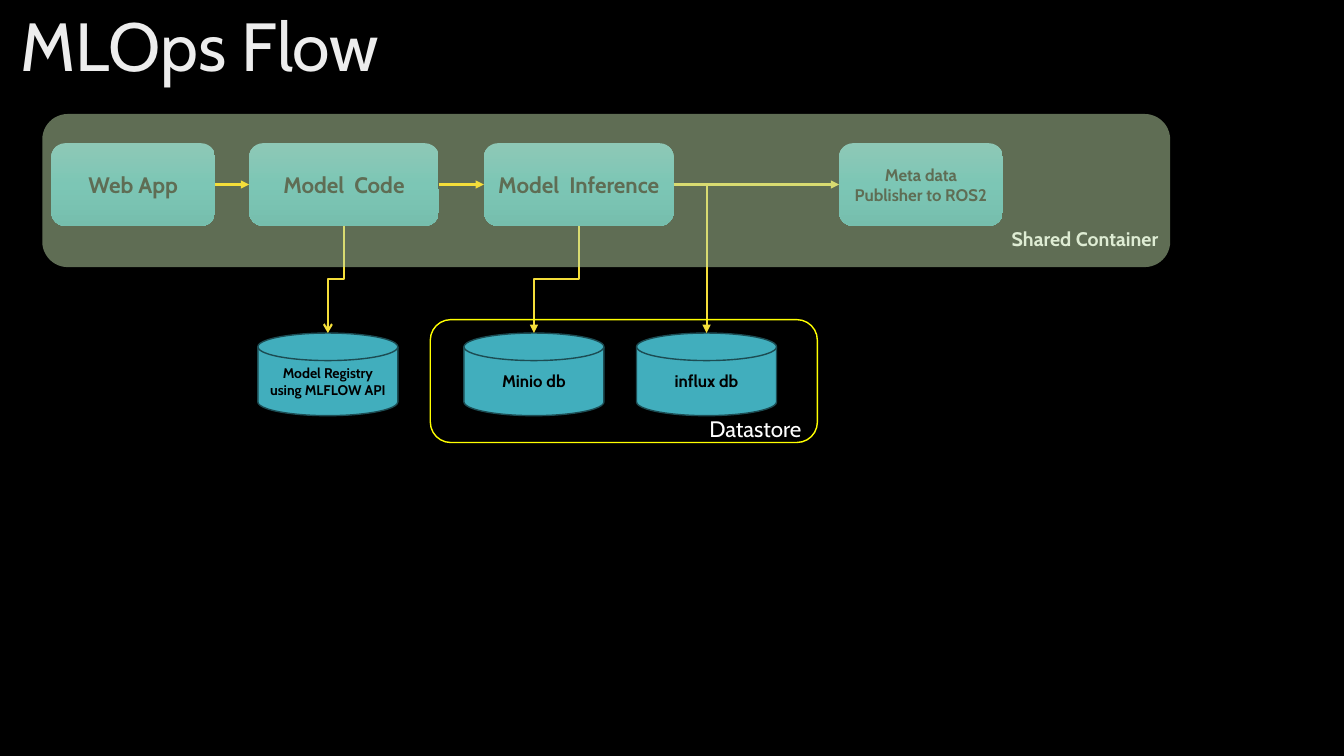
from dataclasses import dataclass

from lxml.etree import SubElement
from pptx import Presentation
from pptx.dml.color import RGBColor
from pptx.enum.shapes import MSO_CONNECTOR as CONN, MSO_SHAPE as SHAPE
from pptx.enum.text import MSO_ANCHOR as ANCHOR, PP_ALIGN as ALIGN
from pptx.oxml import parse_xml
from pptx.oxml.ns import nsdecls, qn
from pptx.util import Pt


@dataclass(frozen=True)
class Theme:
    font: str = "Cabin"
    background: str = "000000"
    title: str = "EDEDED"
    light: str = "FFFFFF"
    dark: str = "000000"
    node: tuple = ("5FB7C5", "3BB3C3", "2FA3B3")
    disk: str = "41AEBD"
    disk_edge: str = "1C4C53"
    arrow: str = "F4DE3A"
    container: str = "BEDAA9"
    datastore: str = "FFFF00"
    title_size: float = 48.6
    large: int = 16
    label: int = 14
    medium: int = 12
    small: int = 10


@dataclass(frozen=True)
class Box:
    x: float
    y: float
    w: float
    h: float

    @property
    def top(self):
        return self.x + self.w / 2, self.y

    @property
    def bottom(self):
        return self.x + self.w / 2, self.y + self.h

    @property
    def left(self):
        return self.x, self.y + self.h / 2

    @property
    def right(self):
        return self.x + self.w, self.y + self.h / 2

    def at(self):
        return [Pt(v) for v in (self.x, self.y, self.w, self.h)]


THEME = Theme()


def rgb(color):
    return RGBColor.from_string(color)


def write(sp, text, size, color, bold=False, align=ALIGN.LEFT,
          anchor=ANCHOR.TOP, wrap=True):
    tf = sp.text_frame
    for name, value in {"word_wrap": wrap, "vertical_anchor": anchor}.items():
        setattr(tf, name, value)
    p = tf.paragraphs[0]
    p.alignment = align
    r = p.add_run()
    r.text = text
    for name, value in {"name": THEME.font, "size": Pt(size), "bold": bold}.items():
        setattr(r.font, name, value)
    r.font.color.rgb = rgb(color)
    return p


def add_label(slide, box, text, size, color, **style):
    return write(slide.shapes.add_textbox(*box.at()), text, size, color, **style)


def add_box(slide, box, kind, fill=None, edge=None):
    sp = slide.shapes.add_shape(kind, *box.at())
    sp.shadow.inherit = False
    if fill:
        sp.fill.solid()
        sp.fill.fore_color.rgb = rgb(fill)
    else:
        sp.fill.background()
    if edge:
        sp.line.color.rgb = rgb(edge)
        sp.line.width = Pt(1)
    else:
        sp.line.fill.background()
    return sp


def add_node(slide, box, text, size):
    """Rounded step with a vertical gradient and a soft shadow."""
    sp = add_box(slide, box, SHAPE.ROUNDED_RECTANGLE)
    pr = sp._element.spPr
    stops = "".join(
        f'<a:gs pos="{i * 50000}"><a:srgbClr val="{color}"/></a:gs>'
        for i, color in enumerate(THEME.node))
    pr.replace(pr.find(qn("a:noFill")), parse_xml(
        f'<a:gradFill {nsdecls("a")} rotWithShape="1"><a:gsLst>{stops}</a:gsLst>'
        '<a:lin ang="5400000" scaled="0"/></a:gradFill>'))
    pr.replace(pr.find(qn("a:effectLst")), parse_xml(
        f'<a:effectLst {nsdecls("a")}><a:outerShdw blurRad="{Pt(4.5)}" '
        f'dist="{Pt(1.5)}" dir="5400000" algn="ctr" rotWithShape="0">'
        '<a:srgbClr val="000000"><a:alpha val="63000"/></a:srgbClr>'
        '</a:outerShdw></a:effectLst>'))
    write(sp, text, size, THEME.dark, True, ALIGN.CENTER, ANCHOR.MIDDLE)


def add_disk(slide, box, text, size):
    sp = add_box(slide, box, SHAPE.FLOWCHART_MAGNETIC_DISK, THEME.disk, THEME.disk_edge)
    write(sp, text, size, THEME.dark, True, ALIGN.CENTER, ANCHOR.MIDDLE)


def add_arrow(slide, start, end, kind=CONN.STRAIGHT, head="triangle"):
    c = slide.shapes.add_connector(kind, *[Pt(v) for v in (*start, *end)])
    c.line.color.rgb = rgb(THEME.arrow)
    c.line.width = Pt(1.5)
    SubElement(c.line._get_or_add_ln(), qn("a:tailEnd"), type=head)
    pr = c._element.spPr
    SubElement(pr, qn("a:effectLst"))
    return pr


def add_drop(slide, start, end, head="triangle"):
    """Elbow that leaves downwards: a sideways elbow turned by 90 degrees."""
    (x1, y1), (x2, y2) = start, end
    cx, cy = (x1 + x2) / 2, (y1 + y2) / 2
    dx, dy = (y2 - y1) / 2, (x1 - x2) / 2
    pr = add_arrow(slide, (cx - dx, cy - dy), (cx + dx, cy + dy), CONN.ELBOW, head)
    pr.find(qn("a:xfrm")).set("rot", "5400000")


def add_corner(slide, start, end):
    """Elbow with one bend: sideways, then down."""
    pr = add_arrow(slide, start, end, CONN.ELBOW)
    pr.find(qn("a:prstGeom")).set("prst", "bentConnector2")


def add_container(slide, box):
    """Half-transparent panel laid over the steps it holds."""
    sp = add_box(slide, box, SHAPE.ROUNDED_RECTANGLE, THEME.container)
    color = sp._element.spPr.find(qn("a:solidFill"))[0]
    SubElement(color, qn("a:alpha"), val="50000")


def add_datastore(slide, box):
    add_box(slide, box, SHAPE.ROUNDED_RECTANGLE, edge=THEME.datastore)
    label = Box(box.x + 192.2, box.y + 64.8, 81.4, 26.6)
    add_label(slide, label, "Datastore", THEME.large, THEME.light, wrap=False)


def add_flow(slide, box):
    """Steps in the container, with the stores they feed below it."""
    def step(dx, w):
        return Box(box.x + dx, box.y + 20.9, w, 59)

    def store(dx):
        return Box(box.x + dx, box.y + 156.5, 100, 59)

    web, code = step(6.5, 116.9), step(147.8, 135.4)
    inference, publisher = step(315.5, 135.4), step(569.2, 116.9)
    registry, minio, influx = store(154), store(301.2), store(424.5)

    for node, text, size in (
            (web, "Web App", THEME.large),
            (code, "Model  Code", THEME.large),
            (inference, "Model  Inference", THEME.large),
            (publisher, "Meta data Publisher to ROS2", THEME.medium)):
        add_node(slide, node, text, size)
    for disk, text, size in (
            (registry, "Model Registry using MLFLOW API", THEME.small),
            (minio, "Minio db", THEME.medium),
            (influx, "influx db", THEME.medium)):
        add_disk(slide, disk, text, size)
    label = Box(box.x + 685.4, box.y + 77, 156.2, 24.5)
    add_label(slide, label, "Shared Container", THEME.label, THEME.light, bold=True)

    add_drop(slide, code.bottom, registry.top, "arrow")
    add_drop(slide, inference.bottom, minio.top)
    add_corner(slide, inference.right, influx.top)
    add_arrow(slide, inference.right, publisher.left)
    add_container(slide, box)
    add_arrow(slide, web.right, code.left)
    add_arrow(slide, code.right, inference.left)
    add_datastore(slide, Box(box.x + 277.2, box.y + 146.9, 276.5, 87.8))


def main():
    prs = Presentation()
    prs.slide_width, prs.slide_height = Pt(960), Pt(540)
    slide = prs.slides.add_slide(prs.slide_layouts[6])
    slide.background.fill.solid()
    slide.background.fill.fore_color.rgb = rgb(THEME.background)
    title = add_label(slide, Box(7.9, 8.6, 805.7, 53.3), "MLOps Flow",
                      THEME.title_size, THEME.title, anchor=ANCHOR.MIDDLE)
    title.line_spacing = 0.9
    add_flow(slide, Box(30.2, 81.4, 805.7, 109.4))
    prs.save("out.pptx")


if __name__ == "__main__":
    main()
